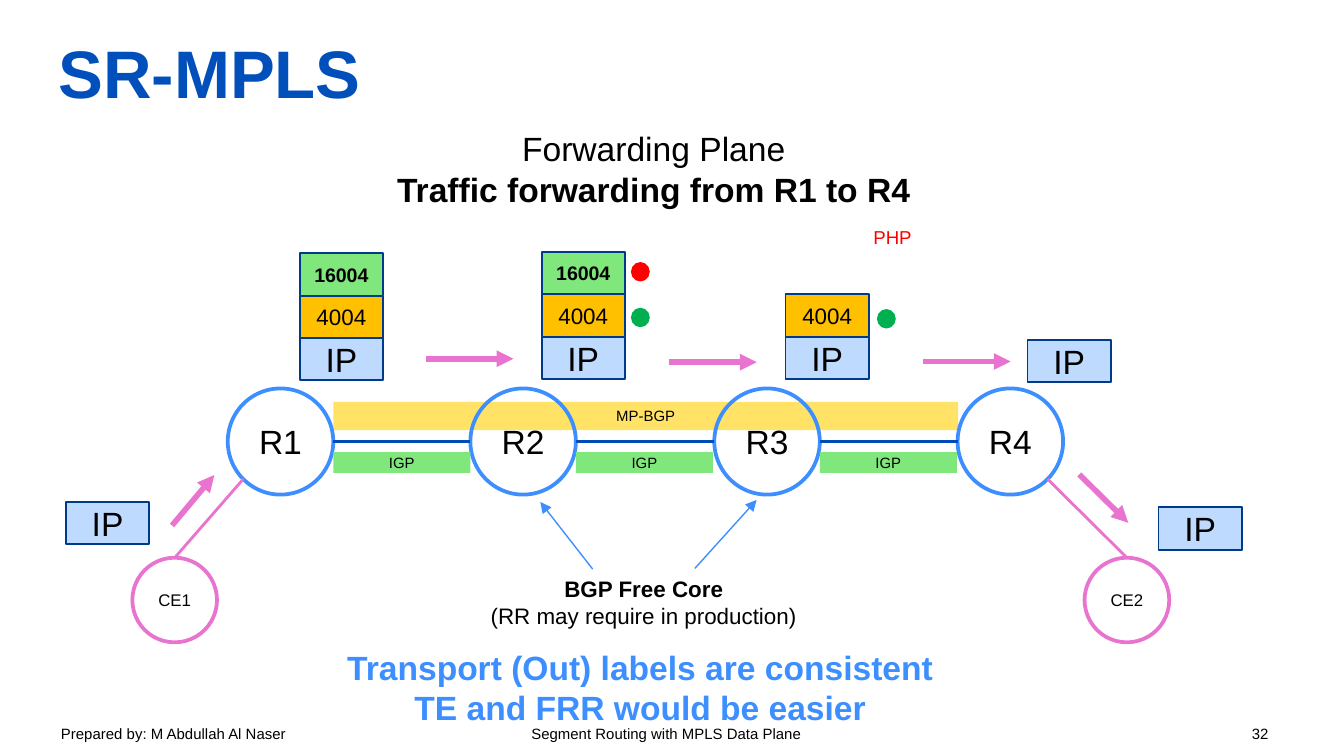
"""Build the SR-MPLS forwarding plane slide."""
from lxml import etree
from pptx import Presentation
from pptx.dml.color import RGBColor
from pptx.enum.shapes import MSO_CONNECTOR, MSO_SHAPE
from pptx.enum.text import MSO_ANCHOR, PP_ALIGN
from pptx.oxml.ns import qn
from pptx.util import Emu, Pt

RECTANGLE, OVAL = MSO_SHAPE.RECTANGLE, MSO_SHAPE.OVAL
STRAIGHT = MSO_CONNECTOR.STRAIGHT
TOP, MIDDLE = MSO_ANCHOR.TOP, MSO_ANCHOR.MIDDLE
LEFT, CENTER = PP_ALIGN.LEFT, PP_ALIGN.CENTER

EMU_PER_PX = 4572
FONT = "Arial"
BLACK, RED, GREEN = "000000", "FF0000", "00B050"
BLUE, NAVY, PINK = "3D8FFF", "003A8A", "E874D0"
LIGHT_GREEN = "80E77C"

PACKET_LAYERS = [
    ("IP", "BEDAFF", 18, False),
    ("4004", "FFC000", 12, False),
    ("16004", LIGHT_GREEN, 10.5, True),
]
LAYER_WIDTH, LAYER_HEIGHT = 124, 63
ROUTER_WIDTH = 157


def px(value):
    """Turn px into EMU."""
    return Emu(value * EMU_PER_PX)


def color(value):
    """Turn a hex string into a colour."""
    return RGBColor.from_string(value)


def style_paragraph(paragraph, text, size, ink=BLACK, bold=False, align=CENTER):
    """Fill one paragraph and set its font."""
    paragraph.text = text
    paragraph.alignment = align
    font = paragraph.font
    font.name, font.size, font.bold = FONT, Pt(size), bold
    font.color.rgb = color(ink)


def add_text(slide, box, lines, size, ink=BLACK, align=CENTER, anchor=TOP, inset=(20, 10), wrap=False):
    """Add a text box from (text, bold) lines."""
    frame = slide.shapes.add_textbox(*map(px, box)).text_frame
    frame.word_wrap = wrap
    frame.vertical_anchor = anchor
    frame.margin_left = frame.margin_right = px(inset[0])
    frame.margin_top = frame.margin_bottom = px(inset[1])
    for index, (text, bold) in enumerate(lines):
        paragraph = frame.add_paragraph() if index else frame.paragraphs[0]
        style_paragraph(paragraph, text, size, ink, bold, align)


def add_shape(slide, kind, box, fill=None, line=None, width=1, text="", size=18, bold=False):
    """Add a preset shape with an optional centred label."""
    shape = slide.shapes.add_shape(kind, *map(px, box))
    shape.shadow.inherit = False
    if fill:
        shape.fill.solid()
        shape.fill.fore_color.rgb = color(fill)
    else:
        shape.fill.background()
    if line:
        shape.line.color.rgb = color(line)
        shape.line.width = Pt(width)
    else:
        shape.line.fill.background()
    if text:
        frame = shape.text_frame
        frame.word_wrap = False
        frame.vertical_anchor = MIDDLE
        frame.margin_left = frame.margin_right = frame.margin_top = frame.margin_bottom = 0
        style_paragraph(frame.paragraphs[0], text, size, bold=bold)


def add_line(slide, ends, ink, width, arrow=False):
    """Add a straight line, with an arrowhead at its end if asked."""
    connector = slide.shapes.add_connector(STRAIGHT, *map(px, ends))
    connector.line.color.rgb = color(ink)
    connector.line.width = Pt(width)
    if arrow:
        outline = connector.line._get_or_add_ln()
        etree.SubElement(outline, qn("a:tailEnd"), type="triangle")
    etree.SubElement(connector._element.spPr, qn("a:effectLst"))


def add_packet(slide, left, bottom_layer_top, layers=1):
    """Stack packet layers upwards from the IP layer."""
    for level, (text, fill, size, bold) in enumerate(PACKET_LAYERS[:layers]):
        box = (left, bottom_layer_top - level * LAYER_HEIGHT, LAYER_WIDTH, LAYER_HEIGHT)
        add_shape(slide, RECTANGLE, box, fill, NAVY, 1, text, size, bold)


def add_footer(slide):
    """Add the footer line with a centred and a right tab."""
    frame = slide.shapes.add_textbox(*map(px, (71, 1068, 1864, 50))).text_frame
    frame.word_wrap = True
    paragraph = frame.paragraphs[0]
    tabs = etree.SubElement(paragraph._p.get_or_add_pPr(), qn("a:tabLst"))
    for position, alignment in ((901, "ctr"), (1797, "r")):
        etree.SubElement(tabs, qn("a:tab"), pos=str(px(position)), algn=alignment)
    text = "Prepared by: M Abdullah Al Naser\tSegment Routing with MPLS Data Plane\t32"
    style_paragraph(paragraph, text, 8, align=LEFT)


def add_network(slide):
    """Add the routers, their links and the protocol bars."""
    add_shape(slide, RECTANGLE, (496, 598, 930, 42), "FFE266", text="MP-BGP", size=8)
    router_lefts = (339, 700, 1063, 1425)
    for number, left in enumerate(router_lefts, 1):
        box = (left, 578, ROUTER_WIDTH, 158)
        add_shape(slide, OVAL, box, line=BLUE, width=2, text=f"R{number}")
    for left, following in zip(router_lefts, router_lefts[1:]):
        right = left + ROUTER_WIDTH
        add_line(slide, (right, 657, following, 657), "004DB6", 1.5)
        add_shape(slide, RECTANGLE, (right, 673, 204, 31), LIGHT_GREEN, text="IGP", size=8)
    for number, left in enumerate((197, 1614), 1):
        add_shape(slide, OVAL, (left, 830, 126, 126), line=PINK, width=2, text=f"CE{number}", size=9)
    for ends in ((260, 830, 362, 713), (1677, 830, 1559, 713)):
        add_line(slide, ends, PINK, 1.5)


def add_traffic(slide):
    """Add the packets, label dots and flow arrows."""
    packets = ((446, 503, 3), (806, 501, 3), (1169, 501, 2), (1529, 506, 1), (98, 747, 1), (1724, 755, 1))
    for left, top, layers in packets:
        add_packet(slide, left, top, layers)
    for left, top, fill in ((939, 458, GREEN), (939, 390, RED), (1305, 460, GREEN)):
        add_shape(slide, OVAL, (left, top, 28, 29), fill)
    flows = (
        (256, 782, 319, 707),
        (634, 534, 764, 534),
        (996, 539, 1126, 539),
        (1374, 538, 1504, 538),
        (1606, 706, 1679, 778),
    )
    for ends in flows:
        add_line(slide, ends, PINK, 3, arrow=True)


def add_notes_on_diagram(slide):
    """Add the headings, callouts and conclusion."""
    add_text(slide, (87, 12, 1826, 188), [("SR-MPLS", True)], 36, "004FBB", LEFT, MIDDLE, (0, 0), True)
    add_text(slide, (567, 181, 812, 142),
             [("Forwarding Plane", False), ("Traffic forwarding from R1 to R4", True)], 18)
    add_text(slide, (1280, 326, 98, 54), [("PHP", False)], 10, RED, LEFT)
    for ends in ((882, 847, 804, 747), (1034, 846, 1126, 744)):
        add_line(slide, ends, BLUE, 0.75, arrow=True)
    add_text(slide, (709, 846, 498, 100),
             [("BGP Free Core", True), ("(RR may require in production)", False)], 12)
    add_text(slide, (453, 953, 1000, 142),
             [("Transport (Out) labels are consistent", True), ("TE and FRR would be easier", True)],
             18, BLUE, wrap=True)


def main():
    """Build and save the slide."""
    presentation = Presentation()
    presentation.slide_width, presentation.slide_height = px(2000), px(1125)
    slide = presentation.slides.add_slide(presentation.slide_layouts[6])
    add_footer(slide)
    add_network(slide)
    add_traffic(slide)
    add_notes_on_diagram(slide)
    presentation.save("out.pptx")


if __name__ == "__main__":
    main()
